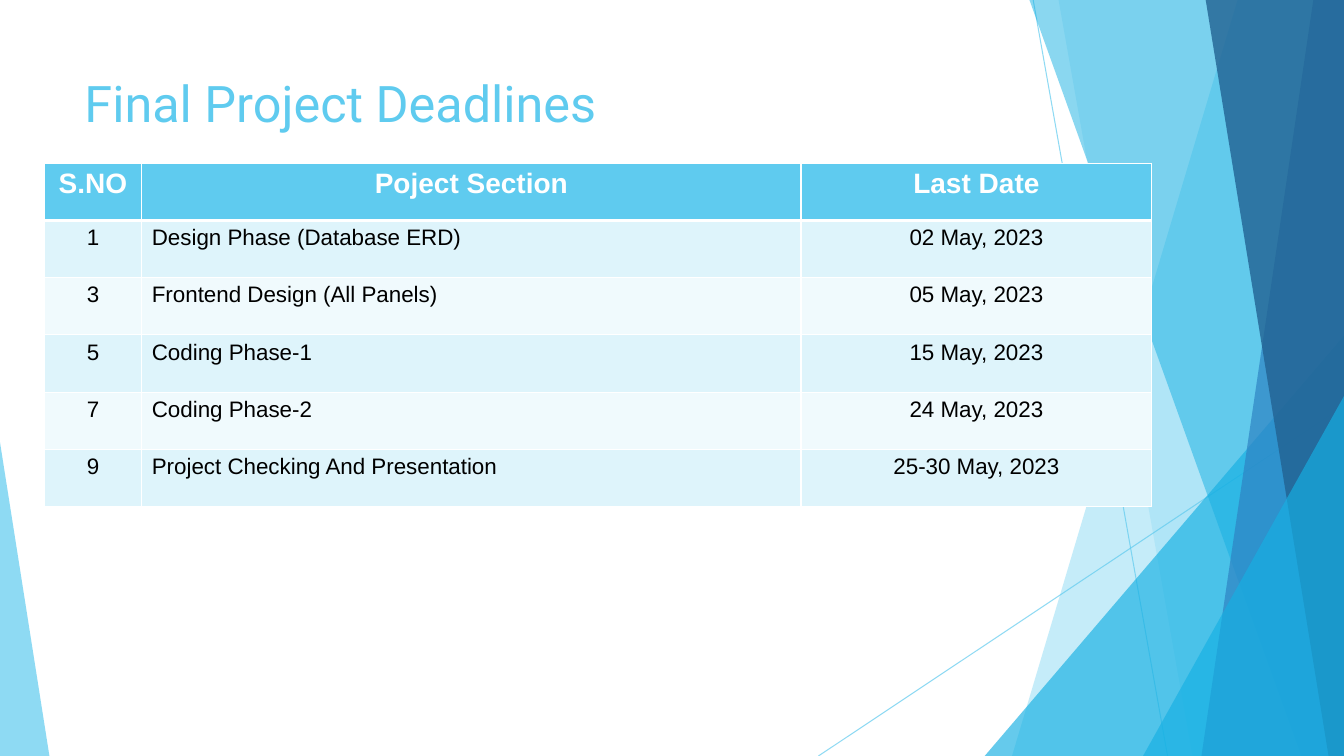
from typing import NamedTuple

from lxml import etree
from pptx import Presentation
from pptx.dml.color import RGBColor
from pptx.enum.shapes import MSO_CONNECTOR, MSO_SHAPE
from pptx.enum.text import MSO_ANCHOR, PP_ALIGN
from pptx.oxml.ns import qn
from pptx.util import Pt

STRAIGHT = MSO_CONNECTOR.STRAIGHT
TRIANGLE = MSO_SHAPE.ISOSCELES_TRIANGLE
TOP = MSO_ANCHOR.TOP
LEFT, CENTER = PP_ALIGN.LEFT, PP_ALIGN.CENTER

WHITE = RGBColor(0xFF, 0xFF, 0xFF)
BLACK = RGBColor(0x00, 0x00, 0x00)
SKY = RGBColor(0x5F, 0xCB, 0xEF)
CYAN = RGBColor(0x16, 0xB0, 0xE3)
BLUE = RGBColor(0x2E, 0x83, 0xC3)
NAVY = RGBColor(0x22, 0x62, 0x92)
BAND_DARK = RGBColor(0xDE, 0xF4, 0xFB)
BAND_LIGHT = RGBColor(0xF0, 0xFA, 0xFD)

SLIDE_WIDTH, SLIDE_HEIGHT = 960, 540
BAND_TOP = -0.7


class Ray(NamedTuple):
    x1: float
    y1: float
    x2: float
    y2: float


class Band(NamedTuple):
    """Area between a slanted left edge and the right side of the slide."""
    top_x: float
    bottom_x: float
    color: RGBColor
    opacity: int


class Corner(NamedTuple):
    """Right triangle standing on the bottom of the slide."""
    left: float
    top: float
    width: float
    apex: float
    color: RGBColor
    opacity: int


class Deadline(NamedTuple):
    number: str
    section: str
    last_date: str


RAYS = [Ray(738, 0, 834, 540), Ray(960, 290, 584.6, 540)]
BACKDROP = [
    Band(884.2, 722.9, SKY, 36),
    Band(756, 851.8, SKY, 20),
    Corner(703.4, 239.8, 256.6, 1, CYAN, 66),
    Band(735.1, 929.5, CYAN, 50),
    Band(938.2, 858.2, BLUE, 70),
    Band(861.1, 949, NAVY, 80),
    Corner(816.5, 283, 143.5, 1, CYAN, 66),
    Corner(0, 316, 35.3, 0, SKY, 70),
]

HEADINGS = Deadline("S.NO", "Poject Section", "Last Date")
DEADLINES = [
    Deadline("1", "Design Phase (Database ERD)", "02 May, 2023"),
    Deadline("3", "Frontend Design (All Panels)", "05 May, 2023"),
    Deadline("5", "Coding Phase-1", "15 May, 2023"),
    Deadline("7", "Coding Phase-2", "24 May, 2023"),
    Deadline("9", "Project Checking And Presentation", "25-30 May, 2023"),
]
COLUMN_WIDTHS = [69.8, 470.9, 250.6]
COLUMN_ALIGNS = [CENTER, LEFT, CENTER]
ROW_HEIGHT = 40.9
TABLE_LEFT, TABLE_TOP = 31.5, 116.6


def set_opacity(shape, percent: int) -> None:
    color = shape._element.spPr.find(".//" + qn("a:srgbClr"))
    etree.SubElement(color, qn("a:alpha"), val=str(percent * 1000))


def draw_ray(slide, ray: Ray) -> None:
    line = slide.shapes.add_connector(STRAIGHT, *map(Pt, ray))
    line.line.color.rgb = SKY
    line.line.width = Pt(0.75)
    set_opacity(line, 70)
    etree.SubElement(line._element.spPr, qn("a:effectLst"))


def paint(shape, color: RGBColor, opacity: int) -> None:
    shape.shadow.inherit = False
    shape.fill.solid()
    shape.fill.fore_color.rgb = color
    shape.line.fill.background()
    set_opacity(shape, opacity)


def draw_band(slide, band: Band) -> None:
    outline = slide.shapes.build_freeform(Pt(band.top_x), Pt(BAND_TOP))
    outline.add_line_segments([
        (Pt(SLIDE_WIDTH), Pt(BAND_TOP)),
        (Pt(SLIDE_WIDTH), Pt(SLIDE_HEIGHT)),
        (Pt(band.bottom_x), Pt(SLIDE_HEIGHT)),
    ])
    paint(outline.convert_to_shape(), band.color, band.opacity)


def draw_corner(slide, corner: Corner) -> None:
    triangle = slide.shapes.add_shape(
        TRIANGLE, Pt(corner.left), Pt(corner.top),
        Pt(corner.width), Pt(SLIDE_HEIGHT - corner.top))
    triangle.adjustments[0] = corner.apex
    paint(triangle, corner.color, corner.opacity)


def draw_title(slide, title: str) -> None:
    frame = slide.shapes.add_textbox(
        Pt(53.3), Pt(48), Pt(676.8), Pt(103.7)).text_frame
    frame.word_wrap = True
    frame.vertical_anchor = TOP
    paragraph = frame.paragraphs[0]
    paragraph.text = title
    paragraph.font.name = "Roboto"
    paragraph.font.size = Pt(36)
    paragraph.font.color.rgb = SKY


def set_borders(cell, top: float, bottom: float) -> None:
    """Give the cell white borders, 1 pt wide at the sides."""
    properties = cell._tc.get_or_add_tcPr()
    for side, width in (("L", 1), ("R", 1), ("T", top), ("B", bottom)):
        border = etree.SubElement(properties, qn(f"a:ln{side}"), w=str(Pt(width)))
        fill = etree.SubElement(border, qn("a:solidFill"))
        etree.SubElement(fill, qn("a:srgbClr"), val=str(WHITE))


def draw_deadlines(slide) -> None:
    rows = [HEADINGS, *DEADLINES]
    table = slide.shapes.add_table(
        len(rows), len(COLUMN_WIDTHS), Pt(TABLE_LEFT), Pt(TABLE_TOP),
        Pt(sum(COLUMN_WIDTHS)), Pt(ROW_HEIGHT * len(rows))).table
    for column, width in zip(table.columns, COLUMN_WIDTHS):
        column.width = Pt(width)
    for r, deadline in enumerate(rows):
        table.rows[r].height = Pt(ROW_HEIGHT)
        is_header = r == 0
        band_color = BAND_DARK if r % 2 else BAND_LIGHT
        for c, (text, align) in enumerate(zip(deadline, COLUMN_ALIGNS)):
            cell = table.cell(r, c)
            set_borders(cell, top=3 if r == 1 else 1, bottom=3 if is_header else 1)
            cell.fill.solid()
            cell.fill.fore_color.rgb = SKY if is_header else band_color
            paragraph = cell.text_frame.paragraphs[0]
            paragraph.text = text
            paragraph.alignment = CENTER if is_header else align
            paragraph.font.name = "Arial"
            paragraph.font.size = Pt(20 if is_header else 16)
            paragraph.font.bold = is_header
            paragraph.font.color.rgb = WHITE if is_header else BLACK


def main() -> None:
    presentation = Presentation()
    presentation.slide_width = Pt(SLIDE_WIDTH)
    presentation.slide_height = Pt(SLIDE_HEIGHT)
    slide = presentation.slides.add_slide(presentation.slide_layouts[6])
    for ray in RAYS:
        draw_ray(slide, ray)
    for facet in BACKDROP:
        if isinstance(facet, Band):
            draw_band(slide, facet)
        else:
            draw_corner(slide, facet)
    draw_title(slide, "Final Project Deadlines")
    draw_deadlines(slide)
    presentation.save("out.pptx")


if __name__ == "__main__":
    main()
